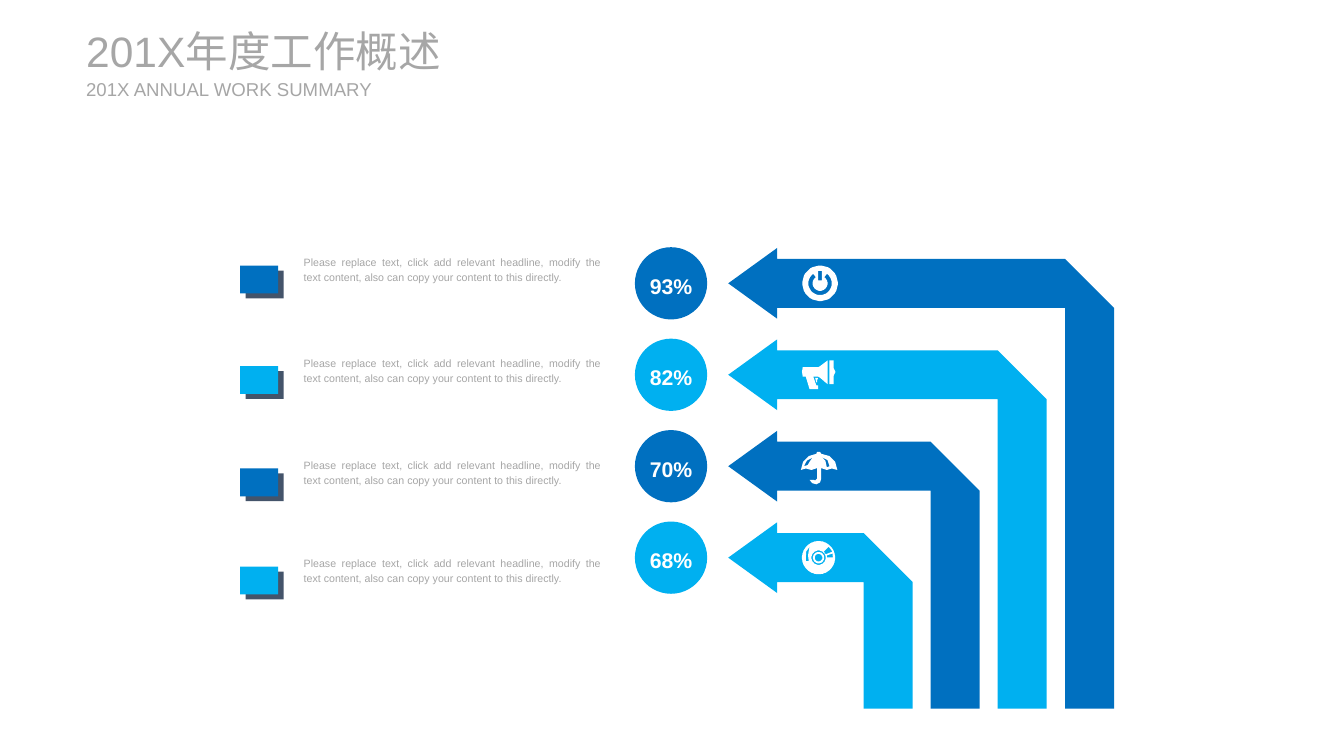
import math
from pptx import Presentation
from pptx import util as u
from pptx.dml.color import RGBColor
from pptx.enum import shapes, text

theme = {
    "font": "Arial",
    "blue": RGBColor.from_string("0070C0"),
    "sky": RGBColor.from_string("00B0F0"),
    "slate": RGBColor.from_string("44546A"),
    "gray": RGBColor.from_string("A6A6A6"),
    "white": RGBColor.from_string("FFFFFF"),
    "title": u.Pt(32),
    "subtitle": u.Pt(14),
    "percent": u.Pt(16),
    "body": u.Pt(8),
}
no_insets = dict.fromkeys(("margin_left", "margin_top", "margin_right", "margin_bottom"), 0)


def paint(shape, color):
    shape.shadow.inherit = False
    shape.fill.solid()
    shape.fill.fore_color.rgb = theme[color]
    shape.line.fill.background()


def write(shape, words, size, color, frame_format, paragraph_format, bold=False):
    frame = shape.text_frame
    frame.text = words
    paragraph = frame.paragraphs[0]
    font = paragraph.runs[0].font
    font_format = {"name": theme["font"], "size": theme[size], "bold": bold}
    for target, values in ((frame, frame_format), (paragraph, paragraph_format), (font, font_format)):
        for name, value in values.items():
            setattr(target, name, value)
    font.color.rgb = theme[color]


presentation = Presentation()
presentation.slide_width = u.Cm(35.71)
presentation.slide_height = u.Cm(20.09)
slide = presentation.slides.add_slide(presentation.slide_layouts[5])

heading_frame = {
    **no_insets,
    "word_wrap": True,
    "auto_size": text.MSO_AUTO_SIZE.NONE,
    "vertical_anchor": text.MSO_ANCHOR.MIDDLE,
}
heading_paragraph = {"alignment": text.PP_ALIGN.LEFT}
title = slide.shapes.title
title_place = {"left": 2.29, "top": 0.66, "width": 10.97, "height": 1.37}
for name, value in title_place.items():
    setattr(title, name, u.Cm(value))
write(title, "201X年度工作概述", "title", "gray", heading_frame, heading_paragraph)
subtitle = slide.shapes.add_textbox(u.Cm(2.29), u.Cm(2.06), u.Cm(7.8), u.Cm(0.61))
write(subtitle, "201X ANNUAL WORK SUMMARY", "subtitle", "gray", heading_frame, heading_paragraph)

rings = {
    radius: [
        (radius * math.cos(math.radians(angle)), radius * math.sin(math.radians(angle)))
        for angle in range(-60, 300, 5)
    ]
    for radius in (10, 15, 19, 20, 31, 44, 47)
}
power = [
    rings[47],
    [(-5, -33), (5, -33), (5, -8), (-5, -8)],
    rings[31][1:60] + rings[20][59:0:-1],
]
megaphone = [
    [(-46, -20), (-5, -20), (0, -23), (20, -38), (20, 25), (0, 8), (-5, 5), (-18, 5),
     (-10, 28), (-5, 28), (-5, 38), (-28, 38), (-38, 5), (-46, 5), (-48, -8)],
    [(25, -38), (36, -38), (36, -18), (41, -8), (36, 3), (36, 25), (25, 25)],
    [(-5, 8), (-13, 8), (-10, 20), (-8, 20), (-8, 15)],
]
umbrella = [
    [(-18, 36), (-13, 38), (-8, 33), (-8, 5), (-23, 10), (-38, 6), (-51, 10), (-45, -12),
     (-30, -27), (-10, -33), (-8, -38), (0, -38), (3, -33), (25, -27), (40, -12), (46, 10),
     (31, 6), (18, 10), (3, 5), (3, 33), (0, 43), (-10, 48), (-21, 45), (-28, 36)],
    [(18, 3), (25, 0), (20, -16), (3, -25), (14, -15)],
    [(-43, 0), (-33, -3), (-27, -13), (-20, -23), (-35, -15)],
]
disc = [
    rings[44], rings[19], rings[15], rings[10],
    [(-24, -29), (-33, -16), (-34, 9), (-26, 9), (-28, -6)],
    [(14, -16), (19, -9), (37, -16), (27, -29)],
    [(22, -6), (22, -1), (38, -1), (37, -11)],
]

body_text = (
    "Please replace text, click add relevant headline, modify the text content, "
    "also can copy your content to this directly."
)
justified = {"alignment": text.PP_ALIGN.JUSTIFY, "line_spacing": 1.2}
centered = {"alignment": text.PP_ALIGN.CENTER, "line_spacing": 1.2}
body_frame = {"word_wrap": True, "auto_size": text.MSO_AUTO_SIZE.SHAPE_TO_FIT_TEXT}
percent_frame = {**no_insets, "word_wrap": False, "vertical_anchor": text.MSO_ANCHOR.MIDDLE}

rows = [
    ("93%", "blue", 7.06, power, 21.79),
    ("82%", "sky", 9.73, megaphone, 21.79),
    ("70%", "blue", 12.45, umbrella, 21.79),
    ("68%", "sky", 15.06, disc, 21.75),
]
arrow_tip, arrow_bottom, band = 19.35, 18.83, 130
for index, (percent, color, marker_top, icon, icon_center) in enumerate(rows):
    center = 7.53 + 2.43 * index
    circle = slide.shapes.add_shape(
        shapes.MSO_SHAPE.OVAL, u.Cm(16.87), u.Cm(center - 0.96), u.Cm(1.92), u.Cm(1.92)
    )
    paint(circle, color)
    write(circle, percent, "percent", "white", percent_frame, centered, bold=True)

    right = 1025 - 178.5 * index
    bottom = 100 * (arrow_bottom - center)
    arrow = [[
        (0, 0), (130, -94), (130, -band / 2), (right - band, -band / 2), (right, band / 2),
        (right, bottom), (right - band, bottom), (right - band, band / 2), (130, band / 2), (130, 94),
    ]]
    for contours, origin, outline_color in ((arrow, arrow_tip, color), (icon, icon_center, "white")):
        builder = slide.shapes.build_freeform(*contours[0][0], scale=u.Cm(0.01))
        builder.add_line_segments(contours[0][1:])
        for contour in contours[1:]:
            builder.move_to(*contour[0])
            builder.add_line_segments(contour[1:])
        paint(builder.convert_to_shape(u.Cm(origin), u.Cm(center)), outline_color)

    for left, top, marker_color in ((6.53, marker_top + 0.13, "slate"), (6.38, marker_top, color)):
        marker = slide.shapes.add_shape(
            shapes.MSO_SHAPE.RECTANGLE, u.Cm(left), u.Cm(top), u.Cm(1.01), u.Cm(0.74)
        )
        paint(marker, marker_color)
    body = slide.shapes.add_textbox(u.Cm(7.82), u.Cm(marker_top - 0.45), u.Cm(8.41), u.Cm(1.04))
    write(body, body_text, "body", "gray", body_frame, justified)

presentation.save("out.pptx")
